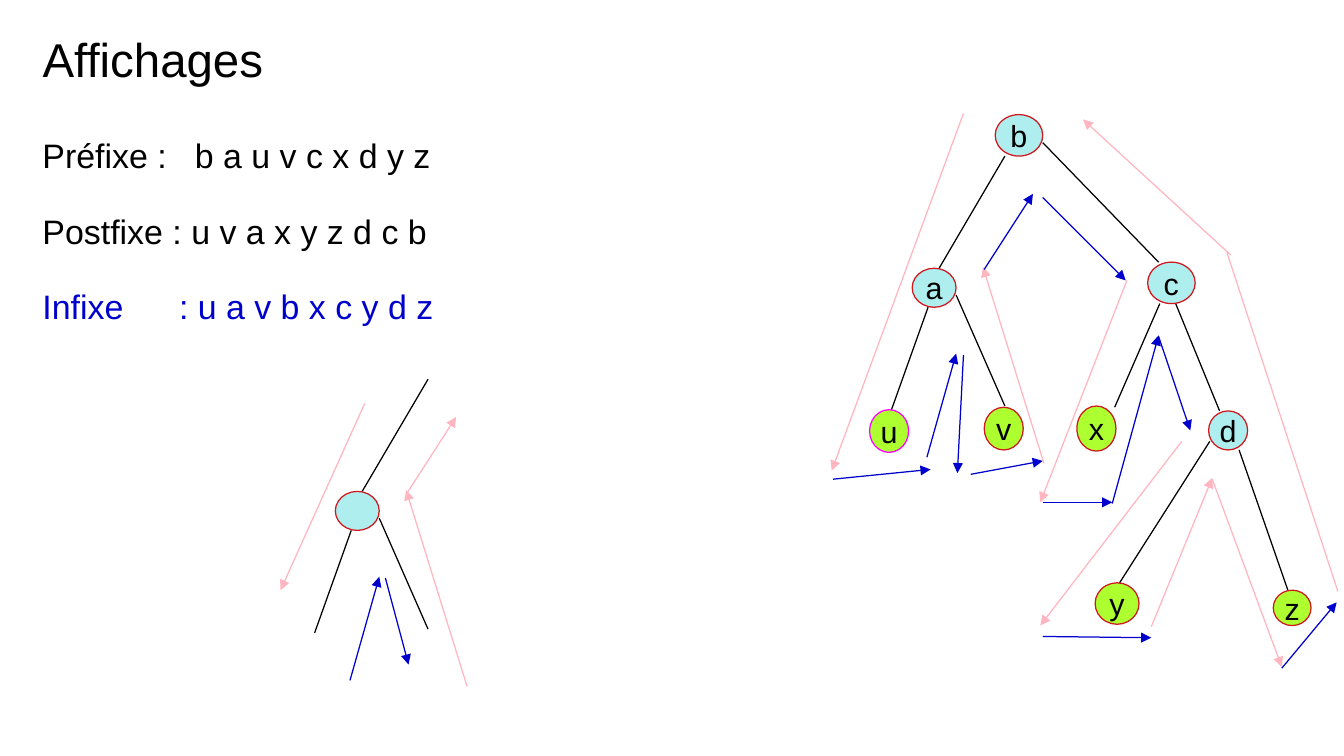
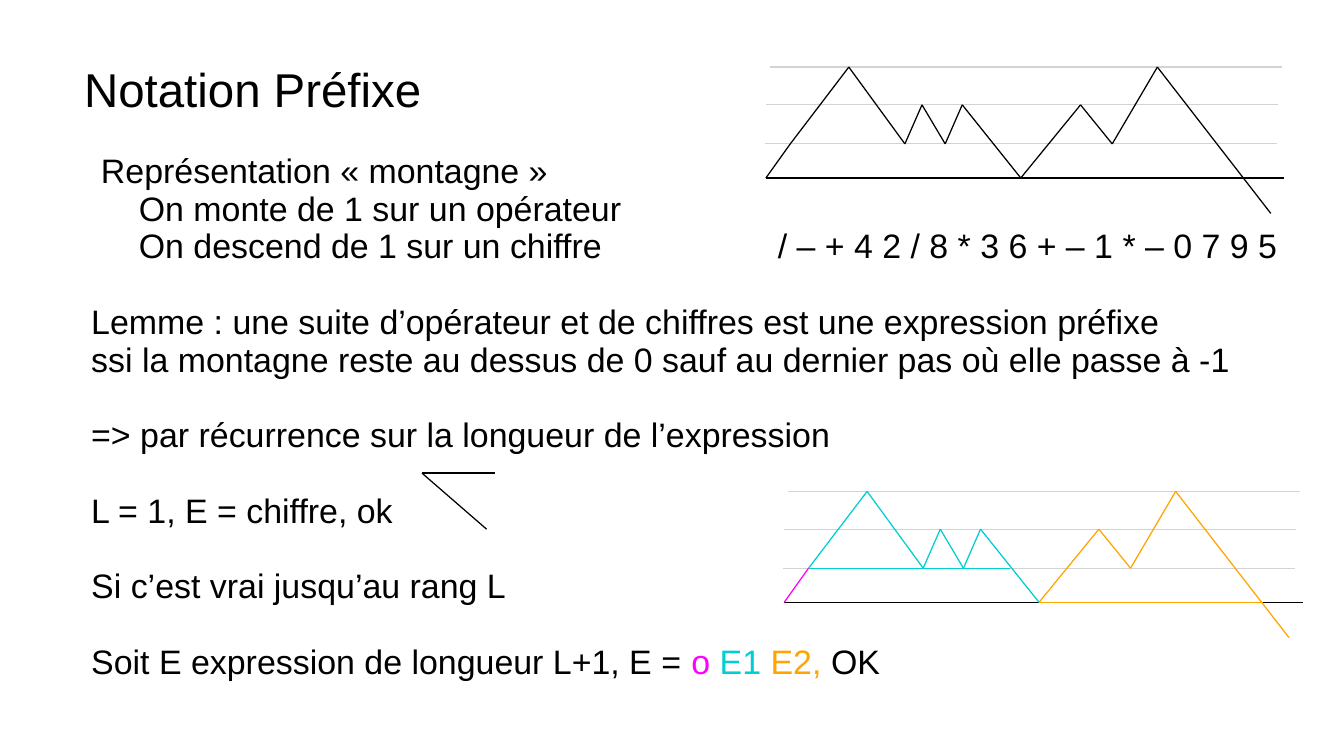
from itertools import pairwise

from lxml import etree
from pptx import Presentation
from pptx.dml.color import RGBColor
from pptx.enum import shapes, text
from pptx.oxml.ns import qn
from pptx.util import Inches, Pt

FONT = "Arial"
BLACK, BLUE, PINK, RED = "000000", "0000CD", "FFB6C1", "CE181E"
AQUA, LIME, GREY = "AFEEEE", "ADFF2F", "D3D3D3"
PURPLE, CYAN, ORANGE = "FF00FF", "00CED1", "FFA500"
PITCH = 22.3  # line pitch of body text, in points


def paint(target, color):
    """Give a font colour, fill or line one solid colour."""
    if hasattr(target, "solid"):
        target.solid()
        target = target.fore_color
    target.rgb = RGBColor.from_string(color)


def add_run(para, words, size, color=BLACK):
    run = para.add_run()
    run.text = words
    run.font.name, run.font.size = FONT, Pt(size)
    paint(run.font.color, color)


def set_frame(frame, top):
    frame.word_wrap = True
    frame.vertical_anchor = text.MSO_ANCHOR.TOP
    frame.margin_left = frame.margin_right = Inches(0.1)
    frame.margin_top, frame.margin_bottom = Inches(top), Inches(0.05)


def add_page(deck, title, left, top):
    page = deck.slides.add_slide(deck.slide_layouts[5])
    head = page.shapes.title
    head.left, head.top = Inches(left), Inches(top)
    head.width, head.height = Inches(5), Inches(0.6)
    set_frame(head.text_frame, 0.08)
    para = head.text_frame.paragraphs[0]
    para.alignment = text.PP_ALIGN.LEFT
    add_run(para, title, 28)
    return page


def add_body(page, box, rows):
    """Each row is (blank line before, indent, tab stop, runs)."""
    frame = page.shapes.add_textbox(*map(Inches, box)).text_frame
    set_frame(frame, 0.07)
    for i, (gap, indent, stop, runs) in enumerate(rows):
        para = frame.add_paragraph() if i else frame.paragraphs[0]
        props = para._p.get_or_add_pPr()
        if indent:
            props.set("marL", str(Inches(indent)))
        if stop:
            tabs = etree.SubElement(props, qn("a:tabLst"))
            etree.SubElement(tabs, qn("a:tab"), pos=str(Inches(stop)), algn="l")
        para.line_spacing = Pt(PITCH)
        para.space_before = Pt(PITCH if gap else 0)
        for words, color in runs:
            add_run(para, words, 20, color)


def add_line(page, start, end, color=BLACK, arrow=False, at=(0, 0)):
    ends = [Inches(p[i] + at[i]) for p in (start, end) for i in (0, 1)]
    line = page.shapes.add_connector(shapes.MSO_CONNECTOR.STRAIGHT, *ends)
    line.line.width = Pt(0.75)
    paint(line.line.fill, color)
    if arrow:
        etree.SubElement(line.line._get_or_add_ln(), qn("a:tailEnd"), type="triangle")
    etree.SubElement(line._element.spPr, qn("a:effectLst"))


def add_node(page, box, label="", fill=AQUA, edge=RED):
    node = page.shapes.add_shape(shapes.MSO_SHAPE.OVAL, *map(Inches, box))
    node.shadow.inherit = False
    paint(node.fill, fill)
    paint(node.line.fill, edge)
    node.line.width = Pt(0.75)
    frame = node.text_frame
    frame.word_wrap = False
    frame.vertical_anchor = text.MSO_ANCHOR.MIDDLE
    frame.margin_left = frame.margin_right = 0
    frame.margin_top = frame.margin_bottom = 0
    if label:
        para = frame.paragraphs[0]
        para.alignment = text.PP_ALIGN.CENTER
        add_run(para, label, 18)


def add_fork(page, x, y, label, down, enter, leave):
    """Node with its three edges and the walk around it."""
    at = (x, y)
    for start, end in (((0.76, -0.92), (0.22, 0)), ((0.13, 0.32), (-0.17, 1.16)),
                       ((0.36, 0.22), (0.76, 1.13))):
        add_line(page, start, end, at=at)
    walk = (
        ((0.12, 1.55), (0.36, 0.7), BLUE),
        (*down, BLUE),
        (*enter, PINK),
        ((1.08, 1.6), (0.58, -0.01), PINK),
        ((0.59, 0.01), (0.99, -0.61), leave),
    )
    for start, end, color in walk:
        add_line(page, start, end, color, True, at)
    add_node(page, (x, y, 0.36, 0.32), label)


def add_tree(page, x, y):
    """Tree whose root node has its top left corner at x, y."""
    at = (x, y)
    edges = (
        ((0.39, 0.23), (1.34, 1.21)), ((1.35, 1.55), (0.98, 2.4)),
        ((1.48, 1.55), (1.84, 2.43)), ((1.76, 2.68), (1.02, 3.84)),
        ((2, 2.75), (2.4, 3.9)),
    )
    for start, end in edges:
        add_line(page, start, end, at=at)
    walk = (
        ((-1.33, 2.99), (-0.53, 2.91), BLUE),
        ((-0.2, 2.95), (0.39, 2.84), BLUE),
        ((0.39, 0.68), (1.07, 1.36), BLUE),
        ((1.08, 1.36), (0.37, 3.18), PINK),
        ((0.39, 3.18), (0.96, 3.18), BLUE),
        ((0.96, 3.19), (1.34, 1.81), BLUE),
        ((1.34, 1.82), (1.6, 2.59), BLUE),
        ((1.53, 2.68), (0.37, 4.19), PINK),
        ((0.39, 4.28), (1.28, 4.29), BLUE),
        ((1.28, 4.2), (1.78, 2.98), PINK),
        ((1.78, 2.99), (2.35, 4.53), PINK),
        ((2.35, 4.54), (2.8, 4), BLUE),
        ((1.93, 1.15), (0.72, 0.04), PINK),
    )
    for start, end, color in walk:
        add_line(page, start, end, color, True, at)
    add_line(page, (2.81, 3.91), (1.9, 1.13), PINK, at=at)
    add_fork(page, x - 0.68, y + 1.26, "a", ((0.42, 0.71), (0.37, 1.68)),
             ((0.42, -1.27), (-0.66, 1.66)), BLUE)
    nodes = (
        ("b", 0, 0, 0.39, 0.34, AQUA, RED),
        ("c", 1.25, 1.21, 0.39, 0.34, AQUA, RED),
        ("d", 1.75, 2.43, 0.32, 0.32, AQUA, RED),
        ("u", -1.03, 2.42, 0.32, 0.35, LIME, PURPLE),
        ("v", -0.09, 2.4, 0.32, 0.35, LIME, RED),
        ("x", 0.67, 2.39, 0.32, 0.37, LIME, RED),
        ("y", 0.82, 3.84, 0.36, 0.34, LIME, RED),
        ("z", 2.28, 3.9, 0.31, 0.29, LIME, RED),
    )
    for label, dx, dy, wide, high, fill, edge in nodes:
        add_node(page, (x + dx, y + dy, wide, high), label, fill, edge)


def add_hills(page, x, y, sign=BLACK, first=BLACK, second=BLACK):
    """Mountain drawing: the operator, then its first and second operand."""
    at = (x, y)
    base, low, mid = 0.91, 0.63, 0.31
    path = [(0, base), (0.2, low), (0.68, 0), (1.14, low), (1.28, mid), (1.47, low),
            (1.61, mid), (2.09, base), (2.58, mid), (2.84, low), (3.21, 0), (4.14, 1.2)]
    for left, level in ((0.03, 0), (0, mid), (-0.01, low)):
        add_line(page, (left, level), (left + 4.2, level), GREY, at=at)
    add_line(page, (0, base), (4.25, base), at=at)
    if first != BLACK:
        add_line(page, (0.2, low), (1.85, low), first, at=at)
        add_line(page, (2.09, base), (3.93, base), second, at=at)
    for part, color in ((path[:2], sign), (path[1:8], first), (path[7:], second)):
        for start, end in pairwise(part):
            add_line(page, start, end, color, at=at)


def show_orders(deck):
    page = add_page(deck, "Affichages", 0.25, 0.17)
    add_body(page, (0.25, 1.06, 5, 1.8), (
        (False, 0, 1.25, [("Préfixe :\tb a u v c x d y z", BLACK)]),
        (True, 0, 0, [("Postfixe : u v a x y z d c b", BLACK)]),
        (True, 0, 1.12, [("Infixe\t: u a v b x c y d z", BLUE)]),
    ))
    add_fork(page, 2.75, 4.03, "", ((0.41, 0.71), (0.6, 1.42)),
             ((0.24, -0.72), (-0.45, 0.81)), PINK)
    add_tree(page, 8.16, 0.94)


def show_prefix(deck):
    page = add_page(deck, "Notation Préfixe", 0.59, 0.41)
    left, top = 0.65, 1.18
    add_body(page, (left, top, 10.04, 4.44), (
        (False, 0.08, 0, [("Représentation « montagne »", BLACK)]),
        (False, 0.39, 0, [("On monte de 1 sur un opérateur", BLACK)]),
        (False, 0.39, 0, [("On descend de 1 sur un chiffre", BLACK)]),
        (True, 0, 0, [("Lemme : une suite d’opérateur et de chiffres est "
                       "une expression préfixe", BLACK)]),
        (False, 0, 0, [("ssi la montagne reste au dessus de 0 sauf au dernier pas "
                        "où elle passe à -1", BLACK)]),
        (True, 0, 0, [("=> par récurrence sur la longueur de l’expression", BLACK)]),
        (True, 0, 0, [("L = 1, E = chiffre, ok", BLACK)]),
        (True, 0, 0, [("Si c’est vrai jusqu’au rang L", BLACK)]),
        (True, 0, 0, [("Soit E expression de longueur L+1, E = ", BLACK), ("o ", PURPLE),
                      ("E1 ", CYAN), ("E2, ", ORANGE), ("OK", BLACK)]),
    ))
    add_body(page, (6.28, top + 2 * PITCH / 72, 4.6, 0.43), (
        (False, 0, 0, [("/ – + 4 2 / 8 * 3 6 + – 1 * – 0 7 9 5", BLACK)]),
    ))
    for end in ((4.06, 3.88), (3.99, 4.34)):
        add_line(page, (3.46, 3.88), end)
    add_hills(page, 6.28, 0.55)
    add_hills(page, 6.43, 4.03, PURPLE, CYAN, ORANGE)


def main():
    deck = Presentation()
    deck.slide_width, deck.slide_height = Inches(11.02), Inches(6.2)
    show_orders(deck)
    show_prefix(deck)
    deck.save("out.pptx")


if __name__ == "__main__":
    main()
